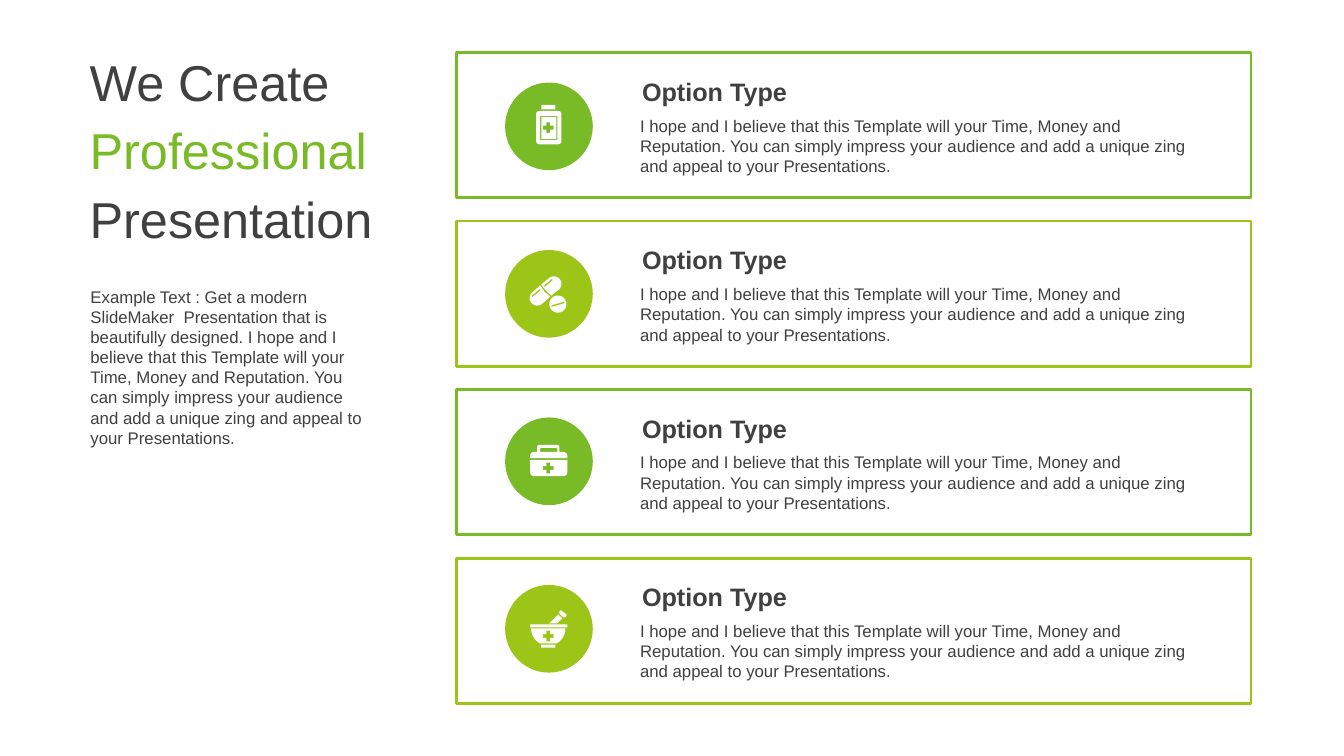
from math import atan2, cos, degrees, radians, sin

from pptx import Presentation
from pptx.dml.color import RGBColor
from pptx.enum.shapes import MSO_SHAPE
from pptx.enum.text import MSO_ANCHOR, MSO_AUTO_SIZE
from pptx.util import Cm, Pt

COLORS = {"green": "79BA27", "lime": "9DC518", "dark": "404040", "white": "FFFFFF"}
ICON_UNIT = 0.0254
PROMISE = (
    "I hope and I believe that this Template will your Time, Money and Reputation. "
    "You can simply impress your audience and add a unique zing and appeal to your Presentations."
)


def arc(cx, cy, r, start, end, steps=16):
    angles = [radians(start + (end - start) * k / steps) for k in range(steps + 1)]
    return [(cx + r * cos(a), cy + r * sin(a)) for a in angles]


def box(x1, y1, x2, y2, top=0, bottom=0):
    return (
        arc(x1 + top, y1 + top, top, 180, 270, 6)
        + arc(x2 - top, y1 + top, top, 270, 360, 6)
        + arc(x2 - bottom, y2 - bottom, bottom, 0, 90, 6)
        + arc(x1 + bottom, y2 - bottom, bottom, 90, 180, 6)
    )


def slot(x1, y1, x2, y2, r):
    a = degrees(atan2(y2 - y1, x2 - x1))
    return arc(x1, y1, r, a + 90, a + 270, 8) + arc(x2, y2, r, a - 90, a + 90, 8)


def cross(cx, cy, arm=5.3, half=1.9):
    corner = [(half, -arm), (half, -half), (arm, -half)]
    points = []
    for _ in range(4):
        points += [(cx + x, cy + y) for x, y in corner]
        corner = [(-y, x) for x, y in corner]
    return points


BOTTLE = [
    box(-12.5, -15.5, 12.5, 17.5, 3, 3),
    box(-8.5, -10.5, 8.5, 13.5),
    box(-7.5, -9.5, 7.5, 12.5),
    cross(-0.5, 1),
    box(-7.5, -21.5, 6.5, -17, 1),
]
PILLS = [
    arc(-11.5, 4, 7.5, 48, 228) + [(-8.5, -8.5), (-4, -2), (1.5, 2.5)],
    slot(-16, 2, -9, -4, 0.8),
    arc(5, -10, 7.5, 228, 408) + [(2.5, 1.5), (-3, -3.5), (-7.5, -9.5)],
    slot(-4, -8, 3, -14, 0.8),
    arc(9, 10, 8.5, 0, 360, 32),
    slot(3.5, 11.8, 14.8, 8.5, 0.8),
]
KIT = [
    box(-18.5, -1.5, 18.5, 14.5, 0, 4),
    cross(-0.5, 6.5),
    box(-18.5, -9.5, 18.5, -3.5, 4),
    box(-11.5, -16.5, 10.5, -9.5, 2),
    box(-8.5, -13.5, 8.5, -9.5, 1),
]
MORTAR = [
    box(-7.5, 15.5, 6.5, 18.5),
    arc(-0.5, -0.5, 17, 0, 60) + arc(-0.5, -0.5, 17, 120, 180),
    cross(-0.5, 7),
    box(-18.5, -4.5, 18.5, -1.5, 0.5, 0.5),
    [(9.5, -14.5), (13.5, -10.5), (8.5, -5.5), (0.5, -5.5)],
    [(12.5, -18.5), (13.5, -17.5), (17.5, -14.5), (17.5, -12.5),
     (16.5, -11.5), (14.5, -11.5), (10.5, -15.5), (10.5, -17.5)],
]


class Deck:
    font = "Arial"

    def __init__(self, width, height):
        self.prs = Presentation()
        self.prs.slide_width, self.prs.slide_height = Cm(width), Cm(height)
        self.slide = self.prs.slides.add_slide(self.prs.slide_layouts[6])

    def color(self, name):
        return RGBColor.from_string(COLORS[name])

    def paint(self, sp, fill=None, line=None):
        sp.shadow.inherit = False
        if fill:
            sp.fill.solid()
            sp.fill.fore_color.rgb = self.color(fill)
        else:
            sp.fill.background()
        if line:
            sp.line.color.rgb = self.color(line)
            sp.line.width = Pt(2)
        else:
            sp.line.fill.background()

    def shape(self, kind, x, y, w, h, **look):
        sp = self.slide.shapes.add_shape(kind, Cm(x), Cm(y), Cm(w), Cm(h))
        self.paint(sp, **look)

    def icon(self, cx, cy, contours):
        paths = [[(Cm(x * ICON_UNIT), Cm(y * ICON_UNIT)) for x, y in c] for c in contours]
        builder = self.slide.shapes.build_freeform(*paths[0][0], scale=1.0)
        for k, points in enumerate(paths):
            if k:
                builder.move_to(*points[0])
            builder.add_line_segments(points[1:], close=True)
        self.paint(builder.convert_to_shape(Cm(cx), Cm(cy)), fill="white")

    def text(self, x, y, w, h, lines, size, bold=False, frame=None, para=None):
        tf = self.slide.shapes.add_textbox(Cm(x), Cm(y), Cm(w), Cm(h)).text_frame
        for key, value in {"word_wrap": True, **(frame or {})}.items():
            setattr(tf, key, value)
        for k, (content, color) in enumerate(lines):
            p = tf.add_paragraph() if k else tf.paragraphs[0]
            for key, value in (para or {}).items():
                if k or key != "space_before":
                    setattr(p, key, value)
            r = p.add_run()
            r.text = content
            for key, value in {"name": self.font, "size": Pt(size), "bold": bold}.items():
                setattr(r.font, key, value)
            r.font.color.rgb = self.color(color)


def main():
    deck = Deck(33.87, 19.05)
    heading = {"auto_size": MSO_AUTO_SIZE.SHAPE_TO_FIT_TEXT, "margin_right": Cm(0.3)}
    body = {**heading, "margin_left": Cm(0.2)}
    deck.text(
        2.01, 0.97, 11.91, 5.79,
        [("We Create", "dark"), ("Professional", "green"), ("Presentation", "dark")], 36,
        frame={"vertical_anchor": MSO_ANCHOR.MIDDLE},
        para={"line_spacing": 0.9, "space_before": Pt(10)},
    )
    for k, icon in enumerate([BOTTLE, PILLS, KIT, MORTAR]):
        color = ("green", "lime")[k % 2]
        text_y, circle_y = 1.8 + 4.24 * k, 2.08 + 4.22 * k
        deck.shape(MSO_SHAPE.RECTANGLE, 11.51, 1.32 + 4.25 * k, 20.02, 3.66, line=color)
        deck.text(15.93, text_y, 14.63, 1.02, [("Option Type", "dark")], 18, True, heading)
        deck.text(15.93, text_y + 0.99, 14.63, 1.8, [(PROMISE, "dark")], 12, frame=body)
        deck.shape(MSO_SHAPE.OVAL, 12.73, circle_y, 2.21, 2.21, fill=color)
        deck.icon(13.83, circle_y + 1.11, icon)
    intro = "Example Text : Get a modern SlideMaker  Presentation that is beautifully designed. "
    deck.text(2.08, 7.09, 7.59, 4.37, [(intro + PROMISE, "dark")], 12, frame=body)
    deck.prs.save("out.pptx")


if __name__ == "__main__":
    main()
